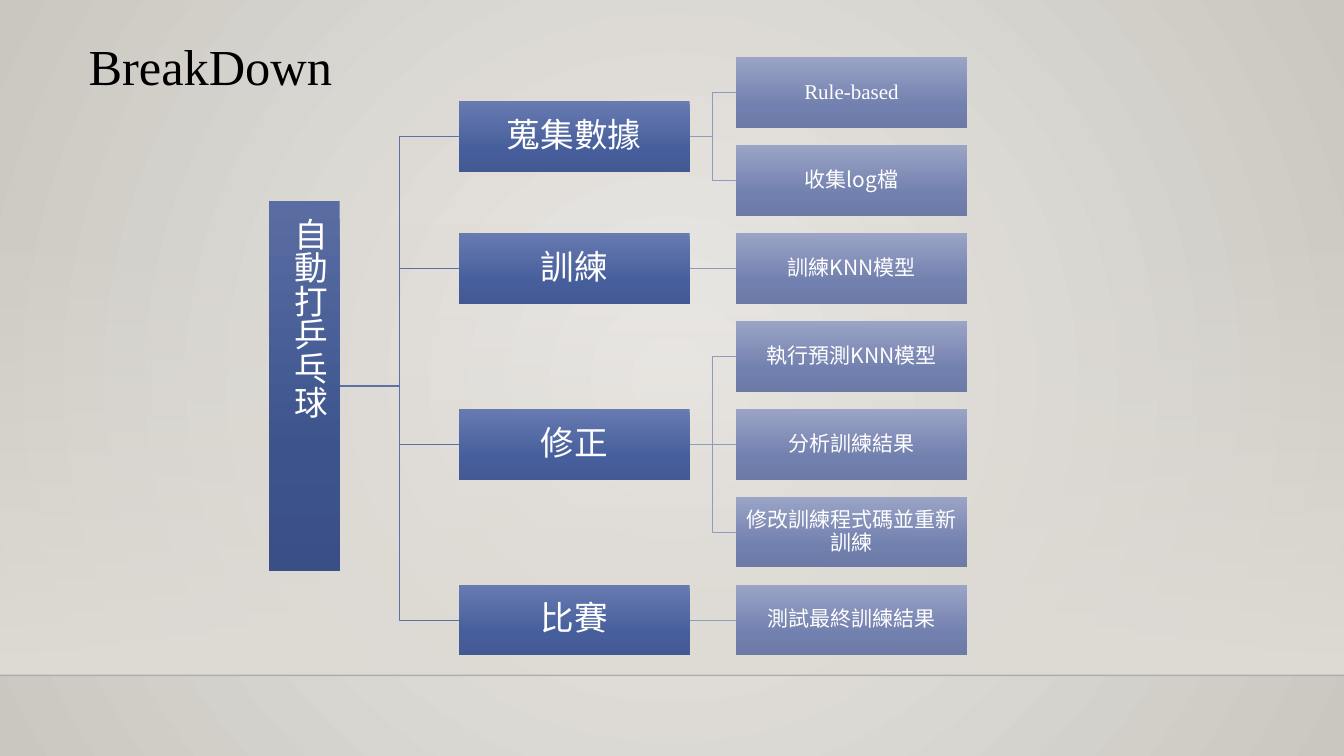
from dataclasses import dataclass
from lxml import etree
from pptx import Presentation, util as u
from pptx.dml.color import RGBColor
from pptx.enum import shapes, text
from pptx.oxml.ns import qn

# Content
TITLE = "BreakDown"
ROOT = "自動打乒乓球"
BRANCHES = [
    ("蒐集數據", ["Rule-based", "收集log檔"]),
    ("訓練", ["訓練KNN模型"]),
    ("修正", ["執行預測KNN模型", "分析訓練結果", "修改訓練程式碼並重新訓練"]),
    ("比賽", ["測試最終訓練結果"]),
]


@dataclass(frozen=True)
class Theme:
    latin: str = "Times New Roman"
    cjk: str = "Noto Sans CJK TC"
    title_size: float = 36
    branch_size: float = 24
    leaf_size: float = 15
    ink: str = "000000"
    white: str = "FFFFFF"
    root_line: str = "5C71A7"
    leaf_line: str = "909ABC"
    # Gradient stops: position %, colour, opacity %
    backdrop: tuple = ((0, "ECEAE7", 100), (100, "CAC7C1", 100))
    wall: tuple = ((0, "DFDBD5", 0), (100, "DFDBD5", 100))
    root: tuple = ((0, "596DA3", 100), (69, "3C538C", 100), (100, "394F85", 100))
    branch: tuple = ((0, "677BB1", 100), (69, "465E9B", 100), (100, "435993", 100))
    leaf: tuple = ((0, "9AA4C5", 100), (69, "7280AF", 100), (100, "6D7AA6", 100))


T = Theme()

# Grid, in inches
WIDTH, HEIGHT = 13.33, 7.5
WALL_TOP, FLOOR = 2.21, 6.7
BOX_W, BOX_H = 2.29, 0.7
ROOT_X, BRANCH_X, LEAF_X = 2.67, 4.55, 7.3
ROOT_MID, ROOT_H = 3.83, 3.67
FIRST_MID, ROW_PITCH = 0.92, 0.872

prs = Presentation()
prs.slide_width, prs.slide_height = u.Inches(WIDTH), u.Inches(HEIGHT)
s = prs.slides.add_slide(prs.slide_layouts[6])


def add_alpha(clr, percent):
    if percent < 100:
        etree.SubElement(clr, qn("a:alpha"), val=str(percent * 1000))


def set_gradient(fill, parent, stops, radial=False):
    fill.gradient()
    grad = next(parent.iter(qn("a:gradFill")))
    for child in list(grad):
        grad.remove(child)
    gs_lst = etree.SubElement(grad, qn("a:gsLst"))
    for pos, color, opacity in stops:
        gs = etree.SubElement(gs_lst, qn("a:gs"), pos=str(pos * 1000))
        add_alpha(etree.SubElement(gs, qn("a:srgbClr"), val=color), opacity)
    if radial:
        circle = etree.SubElement(grad, qn("a:path"), path="circle")
        etree.SubElement(circle, qn("a:fillToRect"),
                         {side: "50000" for side in "ltrb"})
    else:
        etree.SubElement(grad, qn("a:lin"), ang="5400000", scaled="0")


def add_box(x, y, w, h, stops):
    sp = s.shapes.add_shape(shapes.MSO_SHAPE.RECTANGLE, *map(u.Inches, (x, y, w, h)))
    sp.shadow.inherit = False
    sp.line.fill.background()
    set_gradient(sp.fill, sp._element.spPr, stops)
    return sp


def write(sp, words, size, color, align, anchor, inset=None):
    tf = sp.text_frame
    tf.word_wrap, tf.vertical_anchor = True, anchor
    if inset is not None:
        tf.margin_left = tf.margin_right = u.Inches(inset)
        tf.margin_top = tf.margin_bottom = u.Inches(inset)
    p = tf.paragraphs[0]
    p.text, p.alignment = words, align
    p.font.size, p.font.color.rgb = u.Pt(size), RGBColor.from_string(color)
    p.font.name = T.latin if words.isascii() else T.cjk
    etree.SubElement(p._p.pPr.find(qn("a:defRPr")), qn("a:ea"), typeface=T.cjk)
    return p


def add_node(words, x, mid, stops, size, inset):
    sp = add_box(x, mid - BOX_H / 2, BOX_W, BOX_H, stops)
    p = write(sp, words, size, T.white, text.PP_ALIGN.CENTER,
              text.MSO_ANCHOR.MIDDLE, inset)
    p.line_spacing = 0.9
    return sp


def add_line(kind, x1, y1, x2, y2, color, width):
    line = s.shapes.add_connector(kind, x1, y1, x2, y2)
    line.line.color.rgb, line.line.width = RGBColor.from_string(color), u.Pt(width)
    etree.SubElement(line._element.spPr, qn("a:effectLst"))
    return line


def join(parent, child, color):
    y1, y2 = (sp.top + sp.height // 2 for sp in (parent, child))
    level = abs(y1 - y2) < u.Inches(0.02)
    kind = shapes.MSO_CONNECTOR.STRAIGHT if level else shapes.MSO_CONNECTOR.ELBOW
    line = add_line(kind, parent.left + parent.width, y1, child.left, y2, color, 0.75)
    line.begin_connect(parent, 3)
    line.end_connect(child, 1)


# Backdrop: radial background, wall and floor edge
set_gradient(s.background.fill, s._element, T.backdrop, radial=True)
add_box(0, WALL_TOP, WIDTH, FLOOR - WALL_TOP, T.wall)
edge = add_line(shapes.MSO_CONNECTOR.STRAIGHT, 0, u.Inches(FLOOR),
                prs.slide_width, u.Inches(FLOOR), T.ink, 1)
add_alpha(next(edge._element.spPr.iter(qn("a:srgbClr"))), 20)

# Title
title = s.shapes.add_textbox(*map(u.Inches, (0.78, 0.3, 3.79, 0.71)))
write(title, TITLE, T.title_size, T.ink, text.PP_ALIGN.LEFT, text.MSO_ANCHOR.TOP)

# Root, with its name set vertically
root = add_box(ROOT_X, ROOT_MID - ROOT_H / 2, BOX_H, ROOT_H, T.root)
name = s.shapes.add_textbox(*map(u.Inches, (2.7, 2.06, 0.58, 3.61)))
write(name, ROOT, T.branch_size, T.white, text.PP_ALIGN.LEFT,
      text.MSO_ANCHOR.TOP).line_spacing = 0.9
name.text_frame._txBody.bodyPr.set("vert", "eaVert")

# Branches, each centred on its leaves
row = 0
for branch_name, leaves in BRANCHES:
    mids = [FIRST_MID + (row + i) * ROW_PITCH for i in range(len(leaves))]
    row += len(leaves)
    branch = add_node(branch_name, BRANCH_X, sum(mids) / len(mids),
                      T.branch, T.branch_size, 0.02)
    join(root, branch, T.root_line)
    for leaf_name, mid in zip(leaves, mids):
        leaf = add_node(leaf_name, LEAF_X, mid, T.leaf, T.leaf_size, 0.01)
        join(branch, leaf, T.leaf_line)

prs.save("out.pptx")
